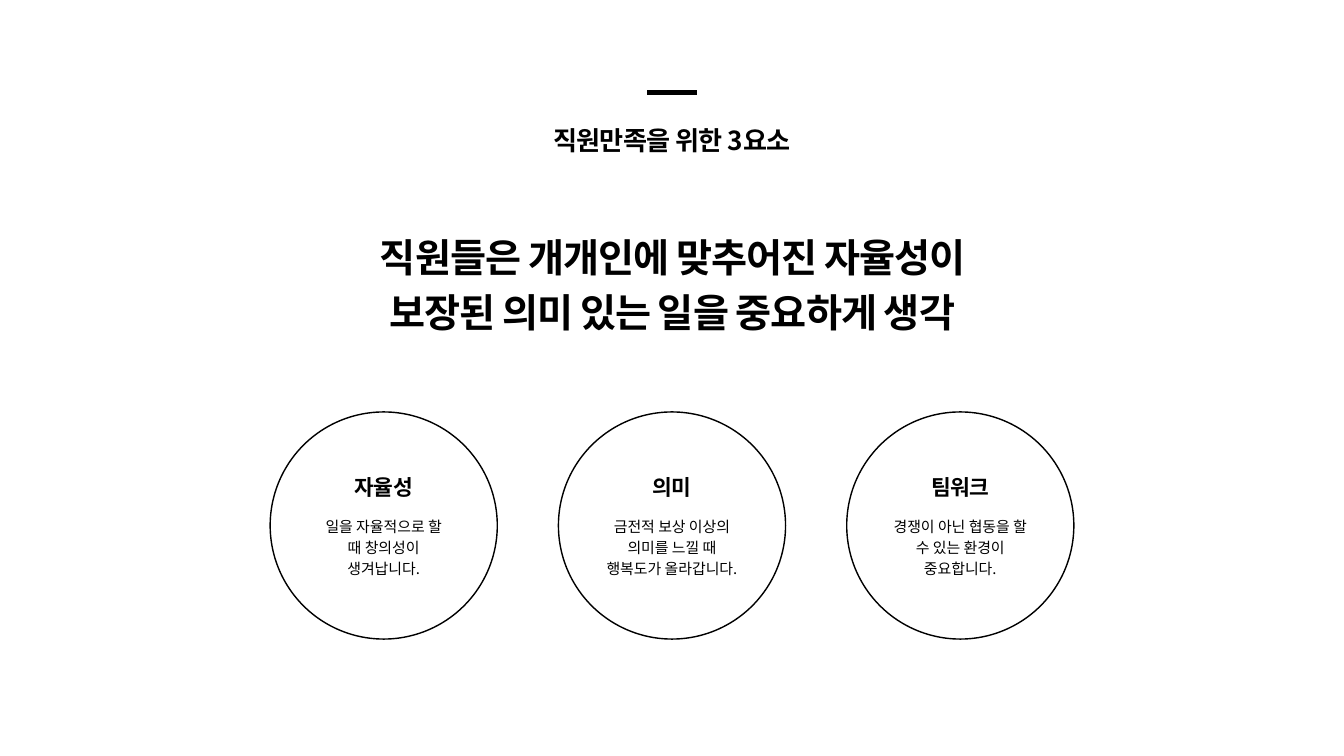
from lxml import etree
from pptx import Presentation
from pptx.dml.color import RGBColor
from pptx.enum import shapes, text
from pptx.oxml.ns import qn
from pptx.util import Inches, Pt

BLACK = RGBColor(0, 0, 0)
WHITE = RGBColor(255, 255, 255)
FONT = "Noto Sans CJK SC"
LINE_RATIO = 1.4
CENTER = 10
CIRCLE_SIZE = 3.38
CIRCLE_PITCH = 4.29

# title, description, description width
FACTORS = [
    ("자율성", "일을 자율적으로 할 때 창의성이 생겨납니다.", 1.9),
    ("의미", "금전적 보상 이상의 의미를 느낄 때 행복도가 올라갑니다.", 2.11),
    ("팀워크", "경쟁이 아닌 협동을 할 수 있는 환경이 중요합니다.", 2.02),
]


def add_text(slide, content, center, top, width, height, size, bold=True, spacing=0):
    """Add centred text around a horizontal centre; spacing is in points."""
    box = slide.shapes.add_textbox(Inches(center - width / 2), Inches(top),
                                   Inches(width), Inches(height))
    tf = box.text_frame
    tf.word_wrap = True
    tf.margin_left = tf.margin_right = tf.margin_top = tf.margin_bottom = 0
    p = tf.paragraphs[0]
    p.alignment = text.PP_ALIGN.CENTER
    p.line_spacing = Pt(size * LINE_RATIO)
    r = p.add_run()
    r.text = content
    r.font.size = Pt(size)
    r.font.bold = bold
    r.font.name = FONT
    r.font.color.rgb = BLACK
    props = r.font._element
    etree.SubElement(props, qn("a:ea")).set("typeface", FONT)
    if spacing:
        props.set("spc", str(round(spacing * 100)))


def add_accent_line(slide, center, y, width):
    line = slide.shapes.add_connector(
        shapes.MSO_CONNECTOR.STRAIGHT, Inches(center - width / 2), Inches(y),
        Inches(center + width / 2), Inches(y))
    line.line.color.rgb = BLACK
    line.line.width = Pt(5.25)
    etree.SubElement(line._element.spPr, qn("a:effectLst"))


def add_circle(slide, center, top):
    sp = slide.shapes.add_shape(
        shapes.MSO_SHAPE.OVAL, Inches(center - CIRCLE_SIZE / 2), Inches(top),
        Inches(CIRCLE_SIZE), Inches(CIRCLE_SIZE))
    sp.shadow.inherit = False
    sp.fill.solid()
    sp.fill.fore_color.rgb = WHITE
    sp.line.color.rgb = BLACK
    sp.line.width = Pt(1.5)


def add_factor(slide, center, title, description, width):
    add_circle(slide, center, 6.13)
    add_text(slide, title, center, 6.99, 2.11, 0.43, 23, spacing=-0.6)
    add_text(slide, description, center, 7.66, width, 0.89, 16, bold=False)


def main():
    prs = Presentation()
    prs.slide_width = Inches(20)
    prs.slide_height = Inches(11.25)
    slide = prs.slides.add_slide(prs.slide_layouts[6])

    add_accent_line(slide, CENTER, 1.38, 0.74)
    add_text(slide, "직원만족을 위한 3요소", CENTER, 1.78, 10.6, 0.53, 28, spacing=-0.7)
    add_text(slide, "직원들은 개개인에 맞추어진 자율성이 보장된 의미 있는 일을 중요하게 생각",
             CENTER, 3.36, 9.29, 1.59, 42, spacing=-1.1)
    for i, factor in enumerate(FACTORS):
        add_factor(slide, CENTER + (i - 1) * CIRCLE_PITCH, *factor)

    prs.save("out.pptx")


if __name__ == "__main__":
    main()
